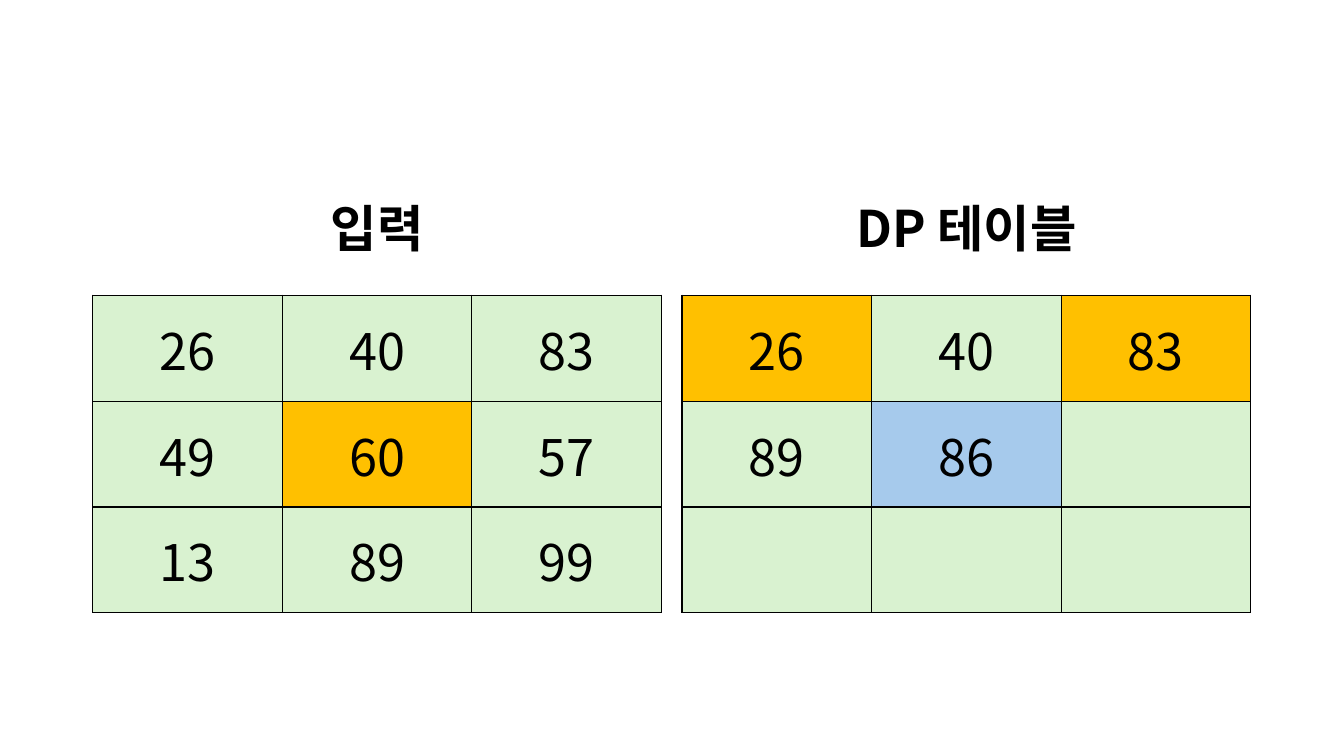
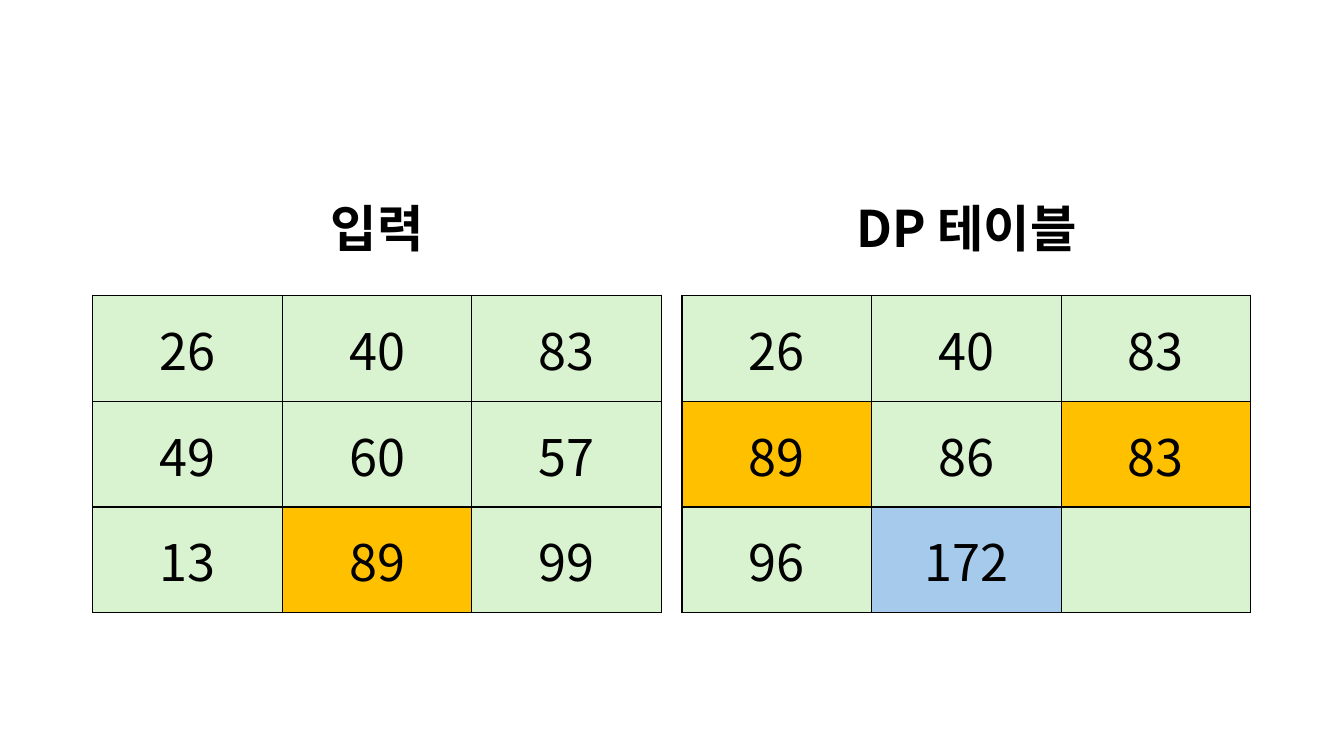
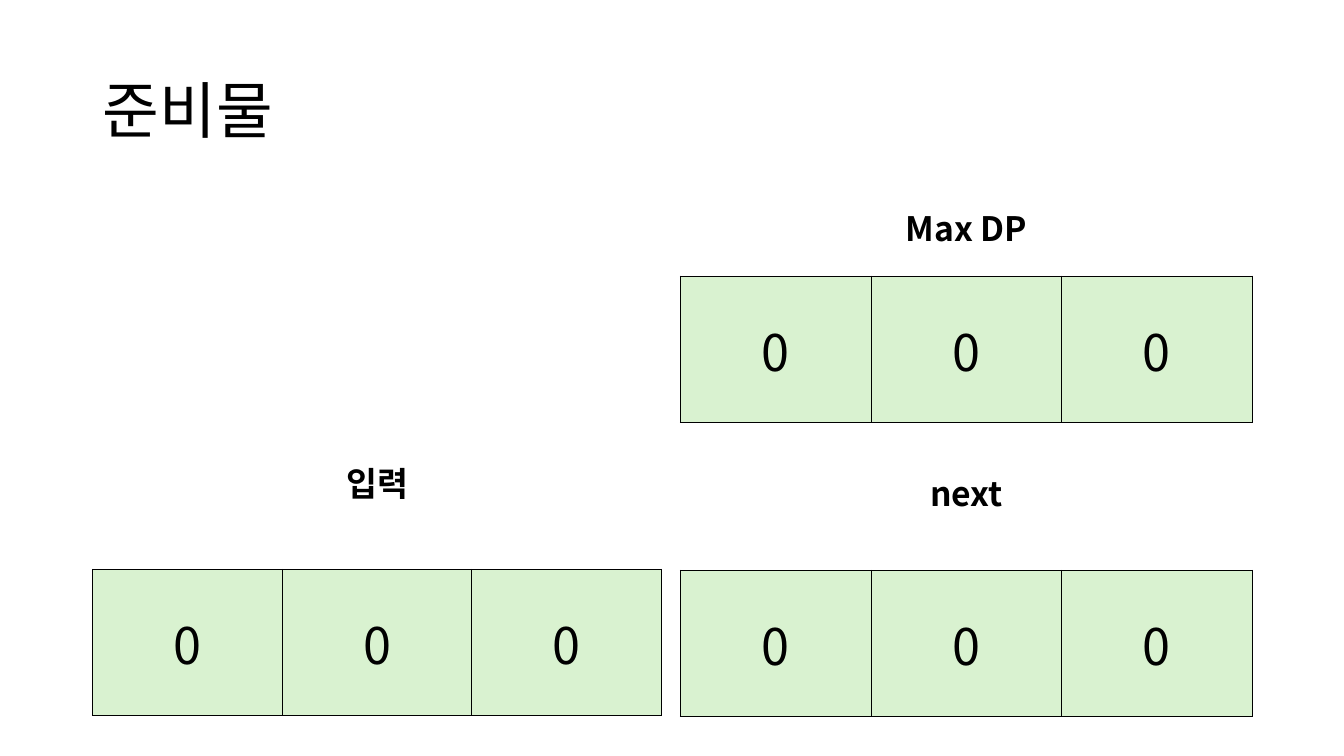
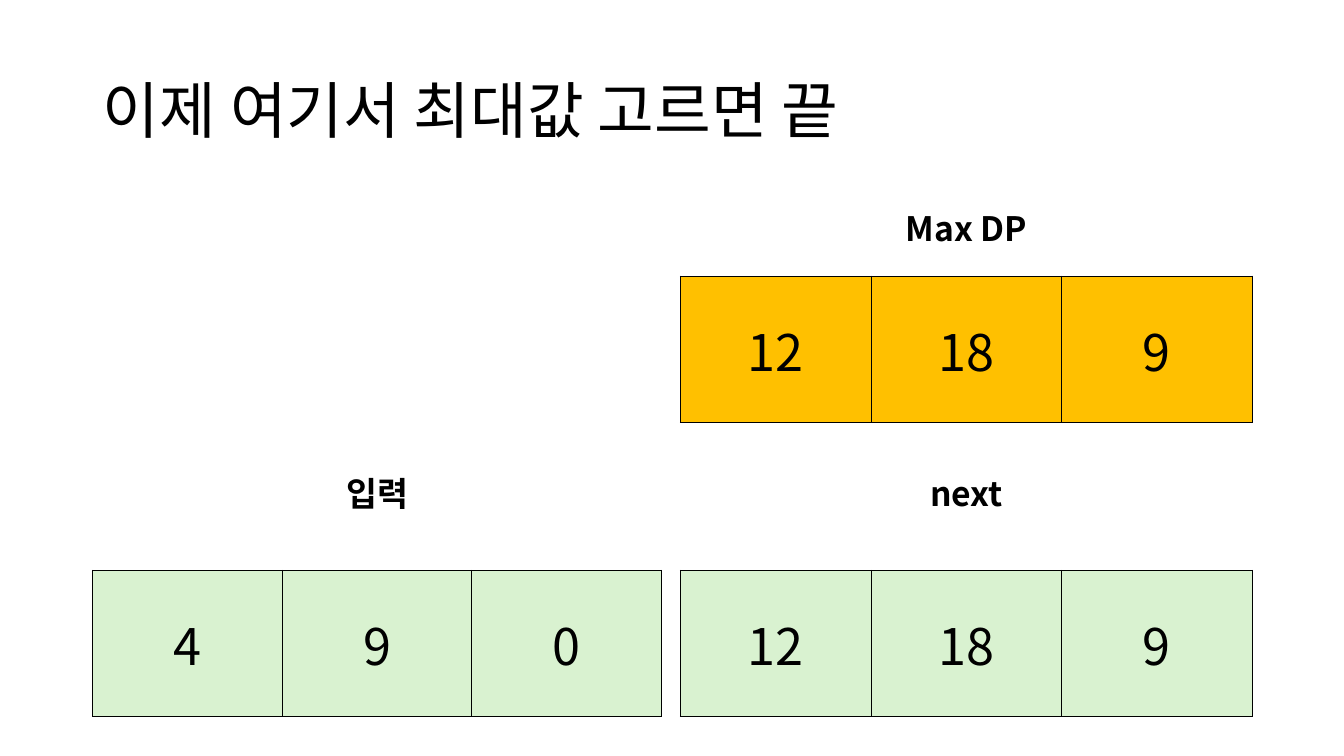
from collections import namedtuple

from lxml import etree
from pptx import Presentation
from pptx.dml.color import RGBColor
from pptx.enum.text import MSO_ANCHOR, MSO_AUTO_SIZE, PP_ALIGN
from pptx.oxml.ns import qn
from pptx.util import Inches, Pt

MIDDLE = MSO_ANCHOR.MIDDLE
NO_AUTOFIT = MSO_AUTO_SIZE.NONE
LEFT, CENTER = PP_ALIGN.LEFT, PP_ALIGN.CENTER

FONT = "Noto Sans CJK KR"
COLORS = {"text": "000000", "border": "000000", "plain": "D9F2D0", "source": "FFC000", "result": "A6CAEC"}
COMPARISON_LAYOUT = 4
LEFT_LABEL, RIGHT_LABEL = 1, 3

Box = namedtuple("Box", "left top width height")
Column = namedtuple("Column", "left width")

SLIDE_WIDTH, SLIDE_HEIGHT = 13.33, 7.5
TITLE_BOX = Box(0.92, 0.4, 11.5, 1.45)
INPUT_COLUMN = Column(0.92, 5.64)
RESULT_COLUMN = Column(6.75, 5.67)
LABEL_HEIGHT = 0.9
UPPER_ROW, LOWER_ROW = 1.84, 4.47
GRID_ROW, STRIP_ROW = 1.05, 1.45
GRID_GAP, STRIP_GAP = 0.19, 0.29

INPUT_VALUES = [[26, 40, 83], [49, 60, 57], [13, 89, 99]]


def place(shape, box):
    """Move a shape to a box given in inches."""
    shape.left, shape.top, shape.width, shape.height = map(Inches, box)


def style_run(run, size, bold=False):
    """Give a run the deck's font, for Latin and Korean letters."""
    run.font.size = Pt(size)
    run.font.bold = bold
    run.font.color.rgb = RGBColor.from_string(COLORS["text"])
    run.font.name = FONT
    etree.SubElement(run._r.get_or_add_rPr(), qn("a:ea"), typeface=FONT)


def write(shape, text, box, size, bold=False, align=CENTER):
    """Write one vertically centred line into a placed text shape."""
    place(shape, box)
    frame = shape.text_frame
    frame.text = text
    frame.word_wrap = True
    frame.auto_size = NO_AUTOFIT
    frame.vertical_anchor = MIDDLE
    paragraph = frame.paragraphs[0]
    paragraph.alignment = align
    paragraph.line_spacing = 0.9
    paragraph.space_before = Pt(0)
    style_run(paragraph.runs[0], size, bold)


def style_cell(cell, value, color):
    """Fill one bordered table cell with a centred value."""
    properties = cell._tc.get_or_add_tcPr()
    for side in ("lnL", "lnR", "lnT", "lnB"):
        line = etree.SubElement(properties, qn(f"a:{side}"), w=str(Pt(1)))
        fill = etree.SubElement(line, qn("a:solidFill"))
        etree.SubElement(fill, qn("a:srgbClr"), val=COLORS["border"])
    cell.fill.solid()
    cell.fill.fore_color.rgb = RGBColor.from_string(COLORS[color])
    cell.vertical_anchor = MIDDLE
    if value is not None:
        cell.text = str(value)
        paragraph = cell.text_frame.paragraphs[0]
        paragraph.alignment = CENTER
        style_run(paragraph.runs[0], 36)


def add_value_table(slide, values, box, marks):
    """Add a table of equal cells; marks maps (row, column) to a colour name."""
    shape = slide.shapes.add_table(len(values), len(values[0]), *map(Inches, box))
    table = shape.table
    table.first_row = table.horz_banding = False
    for column in table.columns:
        column.width = Inches(box.width / len(values[0]))
    for row in table.rows:
        row.height = Inches(box.height / len(values))
    for row, row_values in enumerate(values):
        for column, value in enumerate(row_values):
            style_cell(table.cell(row, column), value, marks.get((row, column), "plain"))


def add_panel(slide, label, text, values, column, top, gap, row_height, size,
              marks=None, table_width=None):
    """Stack a bold label and its table in a column, the table centred."""
    write(label, text, Box(column.left, top, column.width, LABEL_HEIGHT), size, bold=True)
    width = table_width or column.width
    left = column.left + (column.width - width) / 2
    box = Box(left, top + LABEL_HEIGHT + gap, width, row_height * len(values))
    add_value_table(slide, values, box, marks or {})


def add_comparison_slide(presentation, title=None):
    """Add a slide with two label placeholders and an optional title."""
    slide = presentation.slides.add_slide(presentation.slide_layouts[COMPARISON_LAYOUT])
    kept = {LEFT_LABEL, RIGHT_LABEL}
    if title:
        kept.add(0)
        write(slide.shapes.title, title, TITLE_BOX, 44, align=LEFT)
    for placeholder in list(slide.placeholders):
        if placeholder.placeholder_format.idx not in kept:
            placeholder._element.getparent().remove(placeholder._element)
    return slide


def add_grid_slide(presentation, input_marks, results, result_marks):
    """Show the input grid beside the partly filled DP grid."""
    slide = add_comparison_slide(presentation)
    labels = {item.placeholder_format.idx: item for item in slide.placeholders}
    layout = {"top": UPPER_ROW, "gap": GRID_GAP, "row_height": GRID_ROW, "size": 36,
              "table_width": INPUT_COLUMN.width}
    add_panel(slide, labels[LEFT_LABEL], "입력", INPUT_VALUES, INPUT_COLUMN,
              marks=input_marks, **layout)
    add_panel(slide, labels[RIGHT_LABEL], "DP 테이블", results, RESULT_COLUMN,
              marks=result_marks, **layout)


def add_strip_slide(presentation, title, inputs, results, result_marks=None,
                    input_top=LOWER_ROW, input_gap=STRIP_GAP):
    """Show the input row beside the Max DP and next rows."""
    slide = add_comparison_slide(presentation, title)
    labels = {item.placeholder_format.idx: item for item in slide.placeholders}
    next_label = slide.shapes.add_textbox(0, 0, 0, 0)
    layout = {"row_height": STRIP_ROW, "size": 24}
    add_panel(slide, labels[LEFT_LABEL], "입력", [inputs], INPUT_COLUMN,
              input_top, input_gap, **layout)
    add_panel(slide, labels[RIGHT_LABEL], "Max DP", [results], RESULT_COLUMN,
              UPPER_ROW, 0, marks=result_marks, **layout)
    add_panel(slide, next_label, "next", [results], RESULT_COLUMN,
              LOWER_ROW, STRIP_GAP, **layout)


def main():
    """Build and save the four slides."""
    presentation = Presentation()
    presentation.slide_width = Inches(SLIDE_WIDTH)
    presentation.slide_height = Inches(SLIDE_HEIGHT)
    add_grid_slide(
        presentation, {(1, 1): "source"},
        [[26, 40, 83], [89, 86, None], [None, None, None]],
        {(0, 0): "source", (0, 2): "source", (1, 1): "result"})
    add_grid_slide(
        presentation, {(2, 1): "source"},
        [[26, 40, 83], [89, 86, 83], [96, 172, None]],
        {(1, 0): "source", (1, 2): "source", (2, 1): "result"})
    add_strip_slide(presentation, "준비물", [0, 0, 0], [0, 0, 0],
                    input_top=4.37, input_gap=0.38)
    add_strip_slide(presentation, "이제 여기서 최대값 고르면 끝", [4, 9, 0], [12, 18, 9],
                    {(0, column): "source" for column in range(3)})
    presentation.save("out.pptx")


if __name__ == "__main__":
    main()
